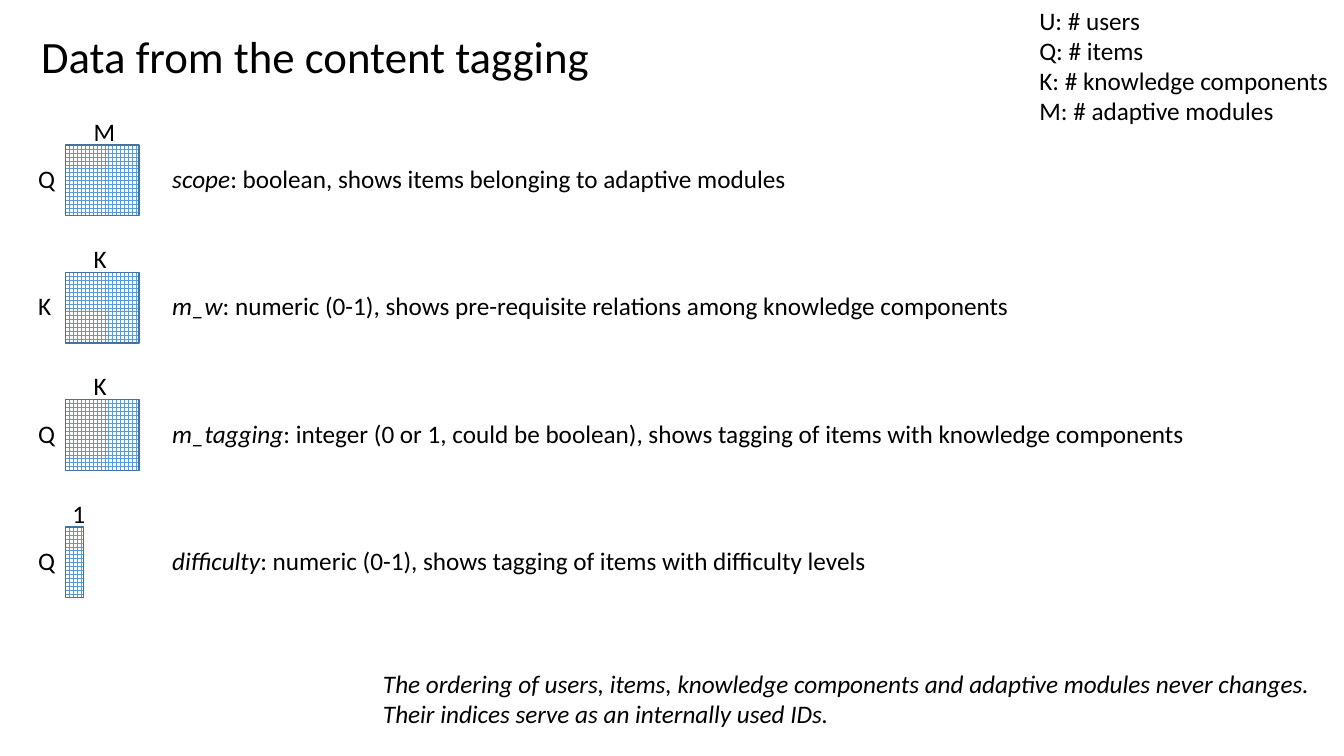
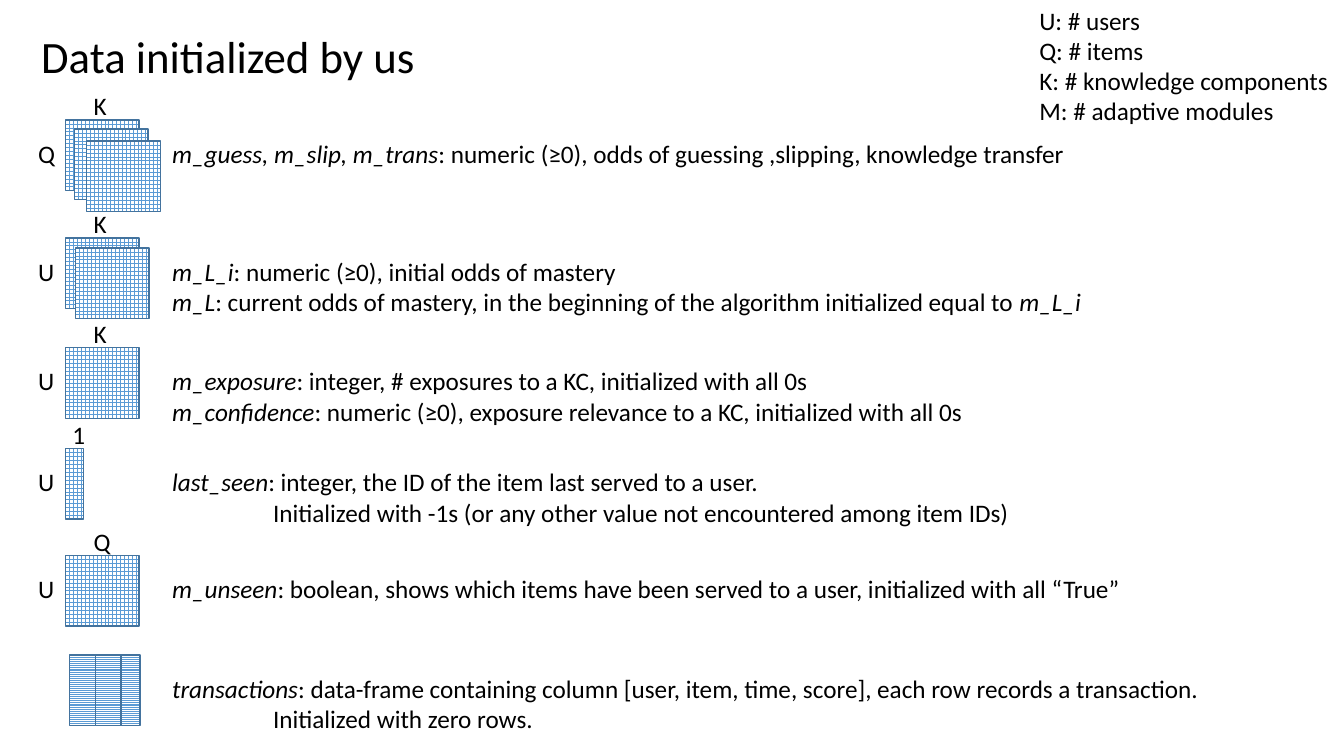
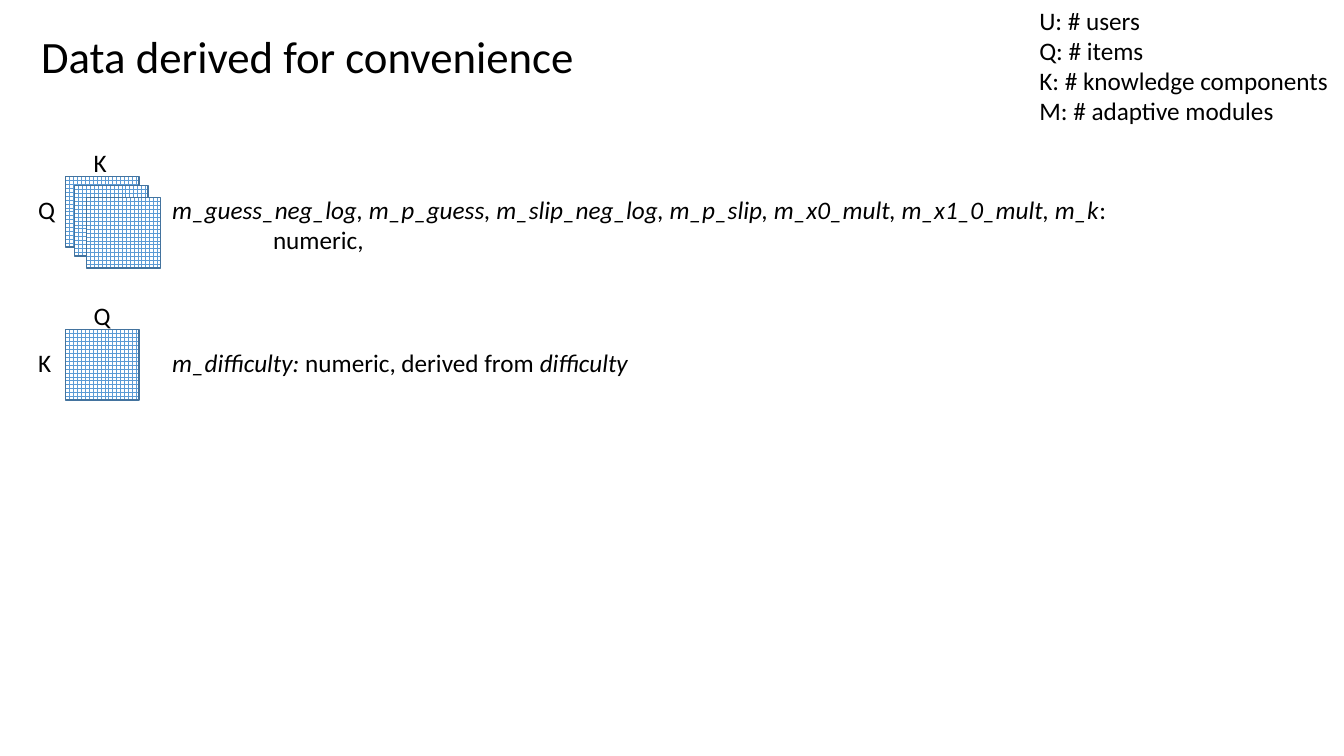
from dataclasses import dataclass
from typing import Optional

from pptx import Presentation
from pptx.dml.color import RGBColor
from pptx.enum.dml import MSO_PATTERN
from pptx.enum.shapes import MSO_SHAPE
from pptx.enum.text import MSO_AUTO_SIZE
from pptx.util import Inches, Pt

# Shared style
COLORS = {"text": "000000", "grid": "5B9BD5", "paper": "FFFFFF", "outline": "43739E"}
FONT = "Calibri"
BODY_SIZE = 18
TITLE_SIZE = 32
MATRIX_LEFT = 0.65
MATRIX_WIDTH = 0.73
VECTOR_WIDTH = 0.18
MATRIX_HEIGHT = 0.7
LABEL_WIDTHS = {"M": 0.42, "Q": 0.37, "K": 0.33, "U": 0.36, "1": 0.33}
LEGEND = ["U: # users", "Q: # items", "K: # knowledge components", "M: # adaptive modules"]

# Offsets of stacked matrices, and (left, width) of data-frame columns
SINGLE = (0.0,)
PAIR = (0.0, 0.1)
TRIPLE = (0.0, 0.09, 0.21)
FRAME_COLUMNS = ((0.69, 0.27), (0.95, 0.27), (1.2, 0.19))


@dataclass
class DataItem:
    """One data structure; asterisks in a line enclose italic text."""
    rows: str
    columns: str
    lines: list[str]
    width: float
    stack: tuple[float, ...] = SINGLE


@dataclass
class Note:
    lines: list[str]
    left: float
    top: float
    width: float


@dataclass
class Page:
    title: str
    title_width: float
    tops: list[float]
    items: list[DataItem]
    note: Optional[Note] = None


def add_text(slide, lines: list[str], left: float, top: float, width: float, *,
             size: int = BODY_SIZE, color: str = "text") -> None:
    """Write lines; a leading tab indents a line by one inch."""
    height = 0.1 + len(lines) * size / 60
    shape = slide.shapes.add_textbox(Inches(left), Inches(top), Inches(width), Inches(height))
    frame = shape.text_frame
    frame.word_wrap = False
    frame.auto_size = MSO_AUTO_SIZE.SHAPE_TO_FIT_TEXT
    for index, line in enumerate(lines):
        paragraph = frame.paragraphs[0] if index == 0 else frame.add_paragraph()
        if line.startswith("\t"):
            paragraph._p.get_or_add_pPr().set("marL", str(Inches(1)))
        for part, text in enumerate(line.strip().split("*")):
            if not text:
                continue
            run = paragraph.add_run()
            run.text = text
            run.font.name = FONT
            run.font.size = Pt(size)
            run.font.italic = part % 2 == 1
            run.font.color.rgb = RGBColor.from_string(COLORS[color])


def add_block(slide, left: float, top: float, width: float,
              pattern: MSO_PATTERN = MSO_PATTERN.LARGE_GRID) -> None:
    shape = slide.shapes.add_shape(MSO_SHAPE.RECTANGLE, Inches(left), Inches(top),
                                   Inches(width), Inches(MATRIX_HEIGHT))
    shape.shadow.inherit = False
    shape.fill.patterned()
    shape.fill.pattern = pattern
    shape.fill.fore_color.rgb = RGBColor.from_string(COLORS["grid"])
    shape.fill.back_color.rgb = RGBColor.from_string(COLORS["paper"])
    shape.line.color.rgb = RGBColor.from_string(COLORS["outline"])
    shape.line.width = Pt(1)


def add_item(slide, item: DataItem, top: float) -> None:
    if item.columns:
        # Matrix or vector with its dimensions
        is_vector = item.columns == "1"
        for offset in item.stack:
            add_block(slide, MATRIX_LEFT + offset, top + offset,
                      VECTOR_WIDTH if is_vector else MATRIX_WIDTH)
        add_text(slide, [item.columns], 0.62 if is_vector else 0.83, top - 0.34,
                 LABEL_WIDTHS[item.columns])
        add_text(slide, [item.rows], 0.28, top + 0.13, LABEL_WIDTHS[item.rows])
    else:
        # Data frame
        for left, width in FRAME_COLUMNS:
            add_block(slide, left, top, width, MSO_PATTERN.LIGHT_HORIZONTAL)
    add_text(slide, item.lines, 1.61, top + 0.13, item.width)


def add_page(presentation, page: Page) -> None:
    slide = presentation.slides.add_slide(presentation.slide_layouts[6])
    add_text(slide, [page.title], 0.31, 0.24, page.title_width, size=TITLE_SIZE)
    add_text(slide, LEGEND, 10.21, 0, 3.1)
    for item, top in zip(page.items, page.tops):
        add_item(slide, item, top)
    if page.note:
        add_text(slide, page.note.lines, page.note.left, page.note.top, page.note.width)


# Content
PAGES = [
    Page("Data from the content tagging", 5.7, [1.44 + 3.79 * row / 3 for row in range(4)], [
        DataItem("Q", "M", ["*scope*: boolean, shows items belonging to adaptive modules"], 6.31),
        DataItem("K", "K", ["*m_w*: numeric (0-1), shows pre-requisite relations among "
                            "knowledge components"], 8.59),
        DataItem("Q", "K", ["*m_tagging*: integer (0 or 1, could be boolean), shows tagging "
                            "of items with knowledge components"], 10.36),
        DataItem("Q", "1", ["*difficulty*: numeric (0-1), shows tagging of items with "
                            "difficulty levels"], 7.18),
    ], Note(["*The ordering of users, items, knowledge components and adaptive modules "
             "never changes.*",
             "*Their indices serve as an internally used IDs.*"], 3.7, 6.58, 9.58)),
    Page("Data initialized by us", 3.95, [1.19, 2.36, 3.45, 4.45, 5.51, 6.5], [
        DataItem("Q", "K", ["*m_guess, m_slip, m_trans*: numeric (≥0), odds of guessing "
                            ",slipping, knowledge transfer"], 9.16, TRIPLE),
        DataItem("U", "K", ["*m_L_i*: numeric (≥0), initial odds of mastery",
                            "*m_L*: current odds of mastery, in the beginning of the "
                            "algorithm initialized equal to *m_L_i*"], 9.34, PAIR),
        DataItem("U", "K", ["*m_exposure*: integer, # exposures to a KC, initialized with all 0s",
                            "*m_confidence*: numeric (≥0), exposure relevance to a KC, "
                            "initialized with all 0s"], 8.08),
        DataItem("U", "1", ["*last_seen*: integer, the ID of the item last served to a user.",
                            "\tInitialized with -1s (or any other value not encountered "
                            "among item IDs)"], 8.6),
        DataItem("U", "Q", ["*m_unseen*: boolean, shows which items have been served to a "
                            "user, initialized with all “True”"], 9.72),
        DataItem("", "", ["*transactions*: data-frame containing column [user, item, time, "
                          "score], each row records a transaction.",
                          "\tInitialized with zero rows."], 10.43),
    ]),
    Page("Data derived for convenience", 5.54, [1.75, 3.27], [
        DataItem("Q", "K", ["*m_guess_neg_log, m_p_guess, m_slip_neg_log, m_p_slip, "
                            "m_x0_mult, m_x1_0_mult, m_k*:",
                            "\tnumeric,"], 9.57, TRIPLE),
        DataItem("K", "Q", ["*m_difficulty:* numeric, derived from *difficulty*"], 4.85),
    ]),
]

# Build the slides
presentation = Presentation()
presentation.slide_width = Inches(13.33)
presentation.slide_height = Inches(7.5)
for page in PAGES:
    add_page(presentation, page)
presentation.save("out.pptx")
